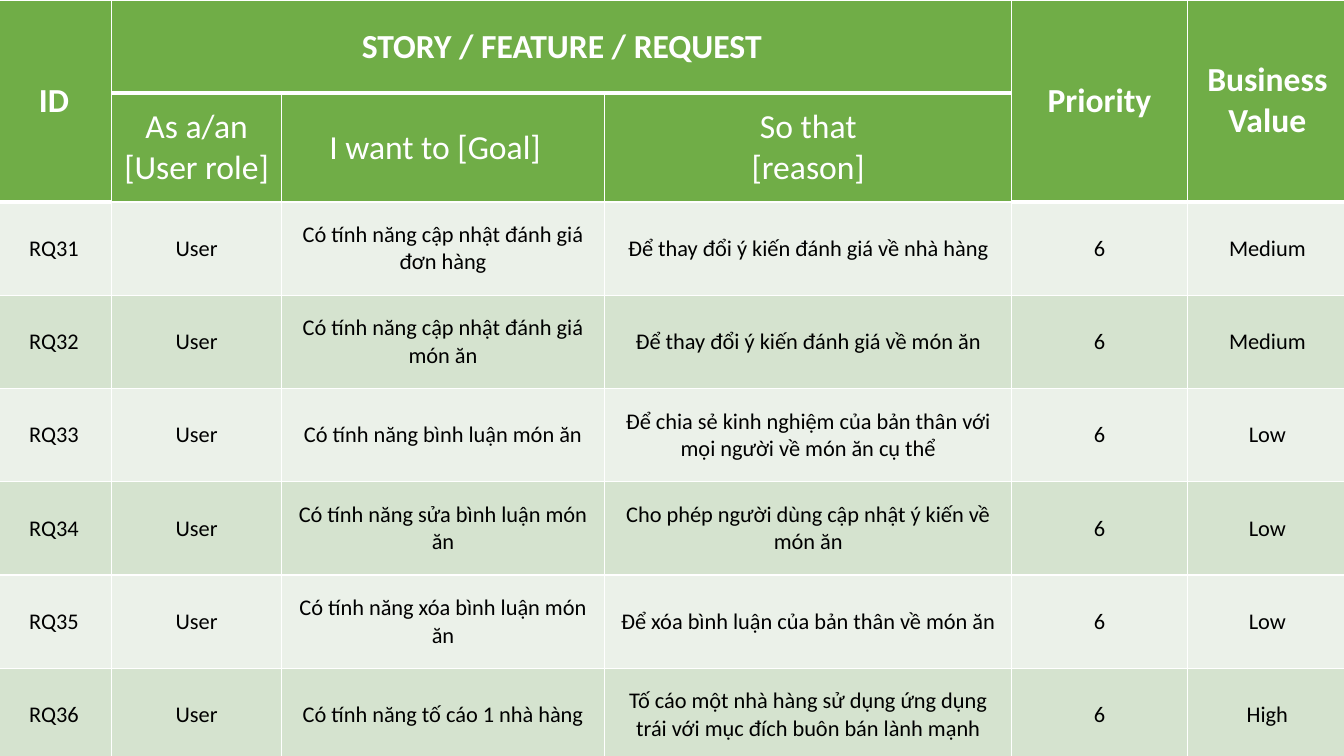
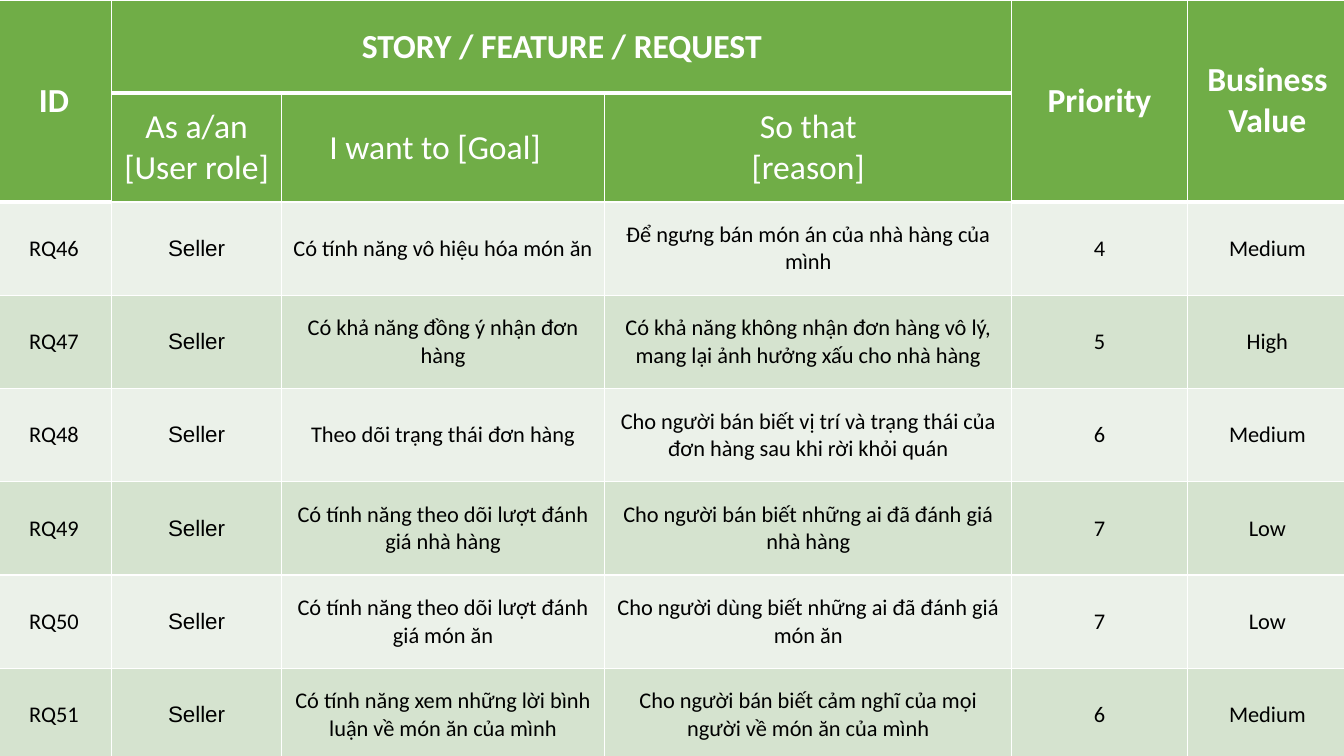
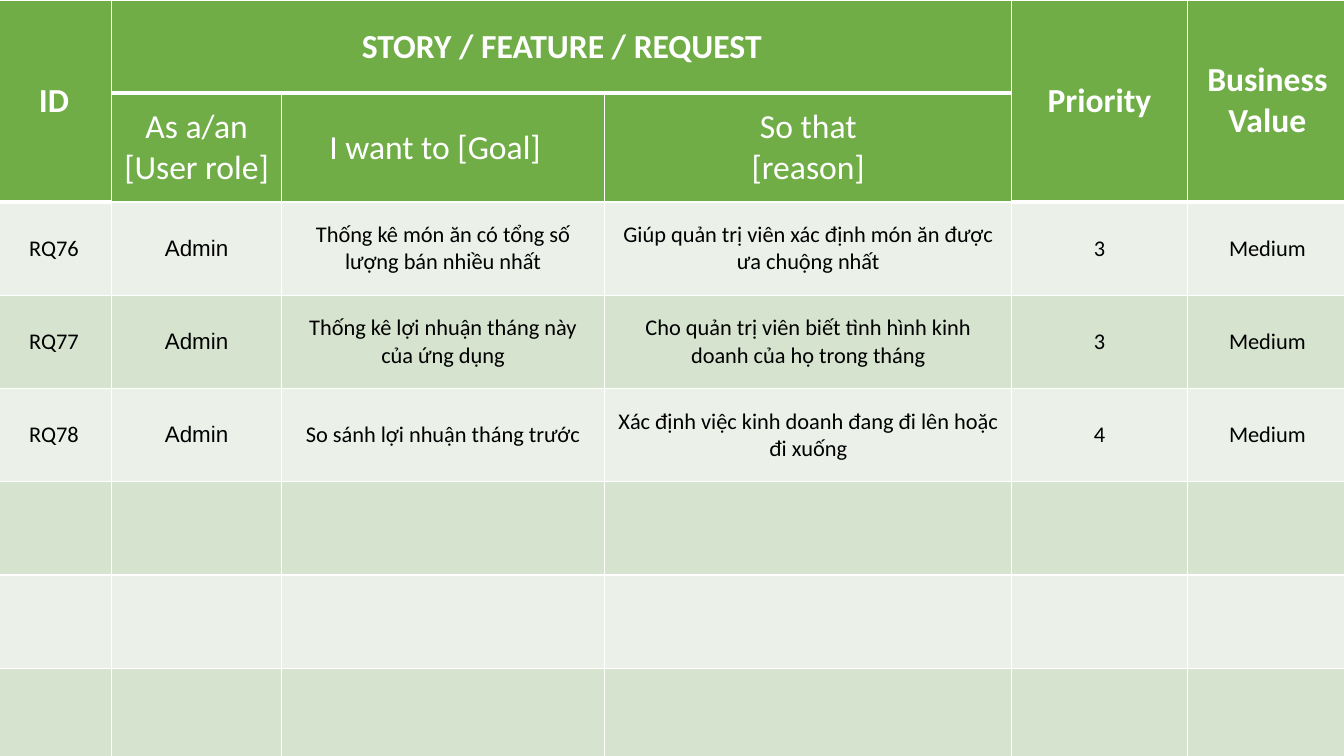
from dataclasses import dataclass
from typing import NamedTuple

from lxml.etree import SubElement
from pptx import Presentation
from pptx.dml.color import RGBColor
from pptx.enum.text import MSO_ANCHOR, PP_ALIGN
from pptx.oxml.ns import qn
from pptx.presentation import Presentation as Deck
from pptx.table import Table, _Cell as Cell
from pptx.util import Cm, Pt


@dataclass(frozen=True)
class Theme:
    header_fill: str = "70AD47"
    band_fills: tuple[str, str] = ("EBF1E9", "D5E3CF")
    header_text: str = "FFFFFF"
    body_text: str = "000000"
    border: str = "FFFFFF"
    font: str = "Calibri"
    header_size: int = 24
    body_size: int = 16
    thin: int = 1
    thick: int = 3


class Heading(NamedTuple):
    text: str
    row: int
    column: int
    rows: int = 1
    columns: int = 1
    main: bool = True
    right_indent: float = 0


class Story(NamedTuple):
    goal: str
    reason: str
    priority: int
    value: str


class Backlog(NamedTuple):
    first_id: int
    role: str
    role_font: str
    stories: list[Story]


THEME = Theme()
COLUMN_WIDTHS = (2.92, 4.27, 8.15, 10.26, 4.42, 4.04)
HEADER_HEIGHTS = (2.35, 2.74)
STORY_HEIGHT = 2.35
STORY_ROWS = 6
TABLE_LEFT = -0.1
ROLE_COLUMN = 1

HEADINGS = (
    Heading("ID", 0, 0, rows=2),
    Heading("STORY / FEATURE / REQUEST", 0, 1, columns=3),
    Heading("Priority", 0, 4, rows=2),
    Heading("Business Value", 0, 5, rows=2),
    Heading("As a/an\n[User role]", 1, 1, main=False),
    Heading("I want to [Goal]", 1, 2, main=False, right_indent=0.4),
    Heading("So that\n[reason]", 1, 3, main=False),
)

BACKLOGS = (
    Backlog(31, "User", "Calibri", [
        Story("Có tính năng cập nhật đánh giá đơn hàng",
              "Để thay đổi ý kiến đánh giá về nhà hàng", 6, "Medium"),
        Story("Có tính năng cập nhật đánh giá món ăn",
              "Để thay đổi ý kiến đánh giá về món ăn", 6, "Medium"),
        Story("Có tính năng bình luận món ăn",
              "Để chia sẻ kinh nghiệm của bản thân với mọi người về món ăn cụ thể", 6, "Low"),
        Story("Có tính năng sửa bình luận món ăn",
              "Cho phép người dùng cập nhật ý kiến về món ăn", 6, "Low"),
        Story("Có tính năng xóa bình luận món ăn",
              "Để xóa bình luận của bản thân về món ăn", 6, "Low"),
        Story("Có tính năng tố cáo 1 nhà hàng",
              "Tố cáo một nhà hàng sử dụng ứng dụng trái với mục đích buôn bán lành mạnh",
              6, "High"),
    ]),
    Backlog(46, "Seller", "Arial", [
        Story("Có tính năng vô hiệu hóa món ăn",
              "Để ngưng bán món án của nhà hàng của mình", 4, "Medium"),
        Story("Có khả năng đồng ý nhận đơn hàng",
              "Có khả năng không nhận đơn hàng vô lý, mang lại ảnh hưởng xấu cho nhà hàng",
              5, "High"),
        Story("Theo dõi trạng thái đơn hàng",
              "Cho người bán biết vị trí và trạng thái của đơn hàng sau khi rời khỏi quán",
              6, "Medium"),
        Story("Có tính năng theo dõi lượt đánh giá nhà hàng",
              "Cho người bán biết những ai đã đánh giá nhà hàng", 7, "Low"),
        Story("Có tính năng theo dõi lượt đánh giá món ăn",
              "Cho người dùng biết những ai đã đánh giá món ăn", 7, "Low"),
        Story("Có tính năng xem những lời bình luận về món ăn của mình",
              "Cho người bán biết cảm nghĩ của mọi người về món ăn của mình", 6, "Medium"),
    ]),
    Backlog(76, "Admin", "Arial", [
        Story("Thống kê món ăn có tổng số lượng bán nhiều nhất",
              "Giúp quản trị viên xác định món ăn được ưa chuộng nhất", 3, "Medium"),
        Story("Thống kê lợi nhuận tháng này của ứng dụng",
              "Cho quản trị viên biết tình hình kinh doanh của họ trong tháng", 3, "Medium"),
        Story("So sánh lợi nhuận tháng trước",
              "Xác định việc kinh doanh đang đi lên hoặc đi xuống", 4, "Medium"),
    ]),
)


def write(cell: Cell, text: str, size: int, color: str,
          font: str = THEME.font, bold: bool = False) -> None:
    cell.text_frame.text = text
    cell.vertical_anchor = MSO_ANCHOR.MIDDLE
    for paragraph in cell.text_frame.paragraphs:
        paragraph.alignment = PP_ALIGN.CENTER
        for run in paragraph.runs:
            run.font.name = font
            run.font.size = Pt(size)
            run.font.bold = bold
            run.font.color.rgb = RGBColor.from_string(color)


def add_borders(cell: Cell, top: int, bottom: int) -> None:
    properties = cell._tc.get_or_add_tcPr()
    weights = {"a:lnL": THEME.thin, "a:lnR": THEME.thin, "a:lnT": top, "a:lnB": bottom}
    for side, weight in weights.items():
        line = SubElement(properties, qn(side), w=str(Pt(weight)))
        SubElement(SubElement(line, qn("a:solidFill")), qn("a:srgbClr"), val=THEME.border)


def style_grid(table: Table) -> None:
    """Give every cell its borders and fill, with thick rules below the main headings."""
    thick_edges = {
        (heading.row + heading.rows, heading.column + offset)
        for heading in HEADINGS if heading.main
        for offset in range(heading.columns)
    }

    def weight(edge: int, column: int) -> int:
        return THEME.thick if (edge, column) in thick_edges else THEME.thin

    header_rows = len(HEADER_HEIGHTS)
    for row in range(len(table.rows)):
        fill = THEME.header_fill if row < header_rows else THEME.band_fills[(row - header_rows) % 2]
        for column in range(len(table.columns)):
            cell = table.cell(row, column)
            add_borders(cell, weight(row, column), weight(row + cell.span_height, column))
            cell.fill.solid()
            cell.fill.fore_color.rgb = RGBColor.from_string(fill)


def write_headings(table: Table) -> None:
    for heading in HEADINGS:
        cell = table.cell(heading.row, heading.column)
        if heading.rows * heading.columns > 1:
            cell.merge(table.cell(heading.row + heading.rows - 1,
                                  heading.column + heading.columns - 1))
        write(cell, heading.text, THEME.header_size, THEME.header_text, bold=heading.main)
        if heading.right_indent:
            cell.margin_right += Cm(heading.right_indent)


def write_stories(table: Table, backlog: Backlog) -> None:
    for index, story in enumerate(backlog.stories):
        values = (f"RQ{backlog.first_id + index}", backlog.role, story.goal,
                  story.reason, str(story.priority), story.value)
        for column, value in enumerate(values):
            font = backlog.role_font if column == ROLE_COLUMN else THEME.font
            write(table.cell(len(HEADER_HEIGHTS) + index, column), value,
                  THEME.body_size, THEME.body_text, font)


def add_backlog_slide(deck: Deck, backlog: Backlog) -> None:
    slide = deck.slides.add_slide(deck.slide_layouts.get_by_name("Blank"))
    heights = HEADER_HEIGHTS + (STORY_HEIGHT,) * STORY_ROWS
    table = slide.shapes.add_table(
        len(heights), len(COLUMN_WIDTHS),
        Cm(TABLE_LEFT), Cm(0), Cm(sum(COLUMN_WIDTHS)), Cm(sum(heights)),
    ).table
    table.first_row = False
    table.horz_banding = False
    for column, width in zip(table.columns, COLUMN_WIDTHS):
        column.width = Cm(width)
    for row, height in zip(table.rows, heights):
        row.height = Cm(height)
    write_headings(table)
    write_stories(table, backlog)
    style_grid(table)


def main() -> None:
    deck = Presentation()
    deck.slide_width, deck.slide_height = Cm(33.87), Cm(19.05)
    for backlog in BACKLOGS:
        add_backlog_slide(deck, backlog)
    deck.save("out.pptx")


if __name__ == "__main__":
    main()
